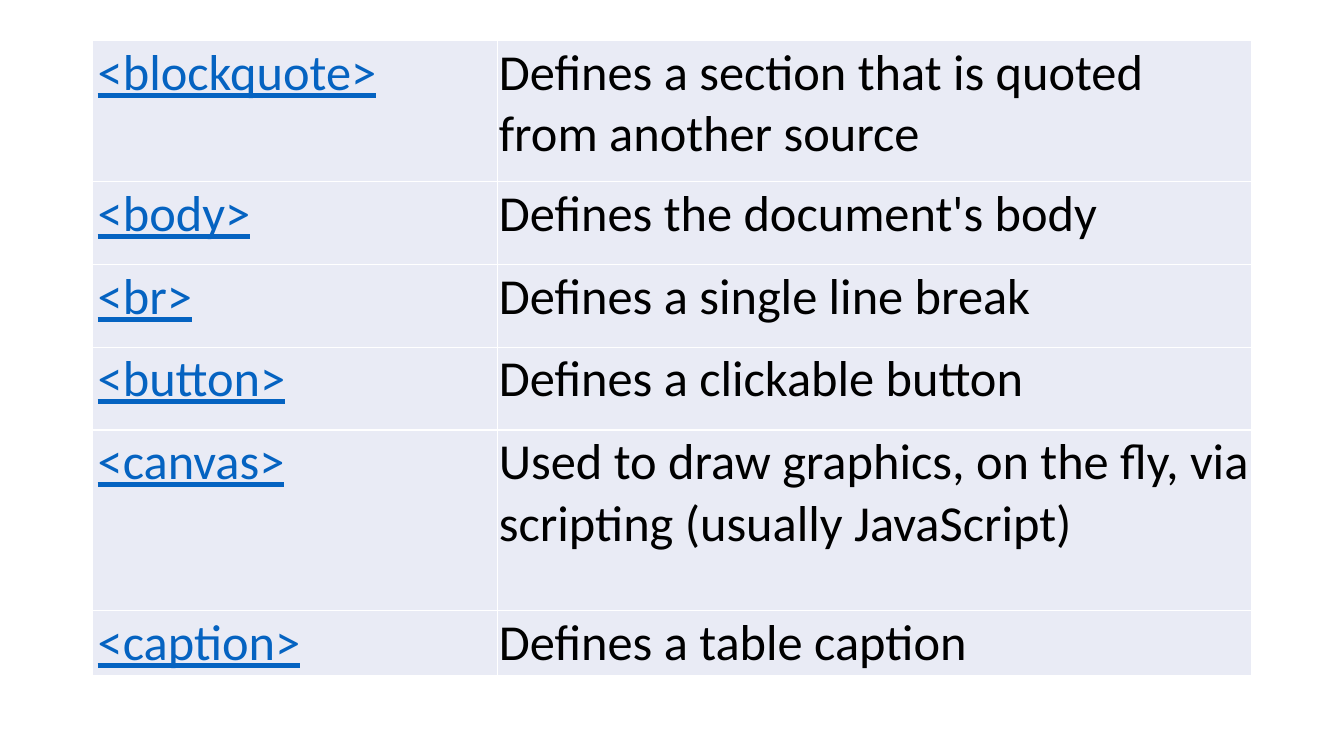
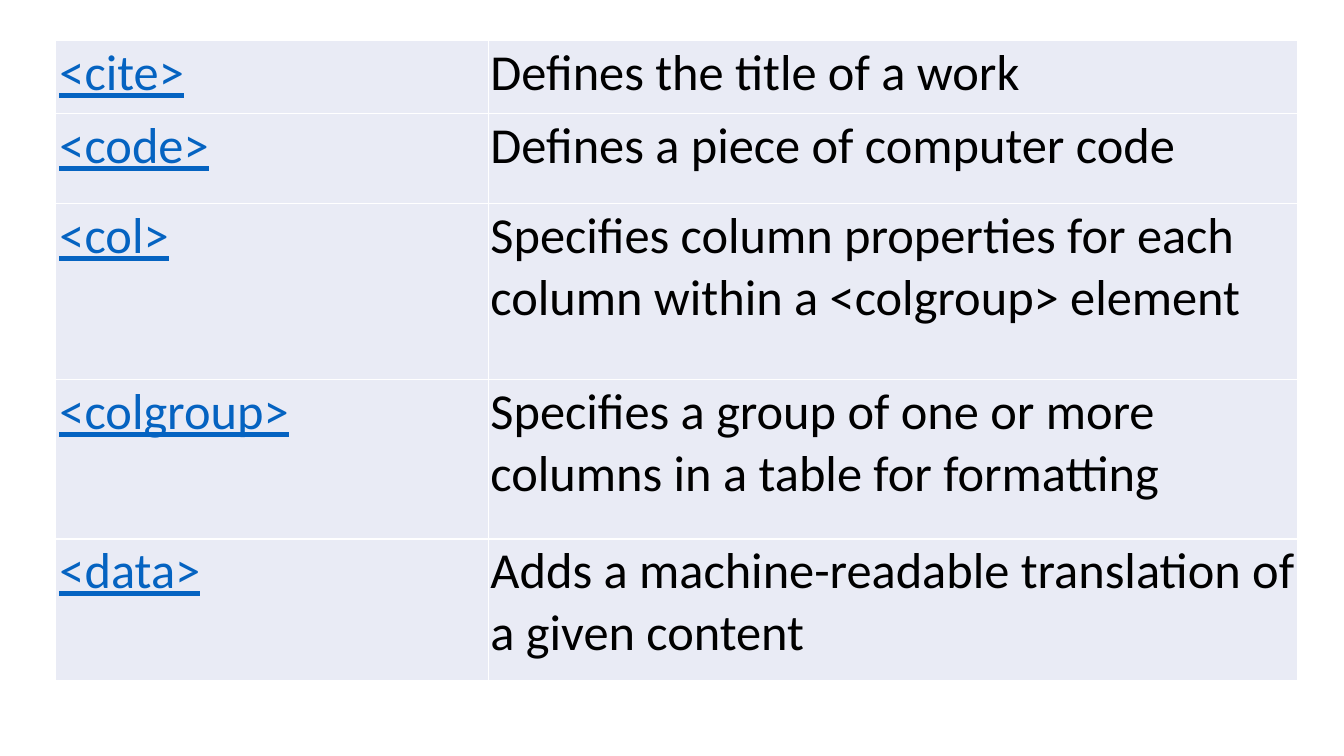
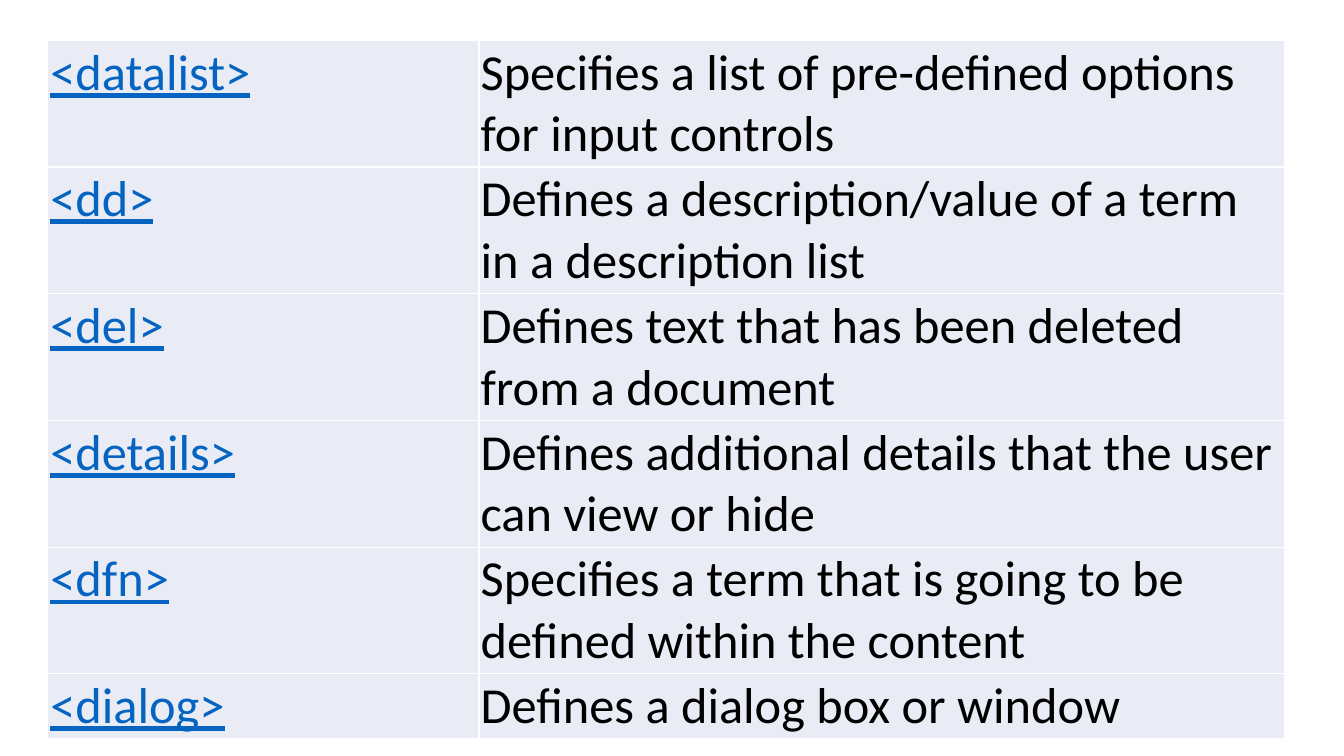
from pptx import Presentation
from pptx.util import Pt
from pptx.dml.color import RGBColor as RGB
from pptx.oxml import parse_xml
from pptx.oxml.ns import nsdecls

# Shared look
FONT = "Calibri"
SIZE = 36
LINK = RGB(0x05, 0x63, 0xC1)
BLACK = RGB(0, 0, 0)
PALE = RGB(0xE9, 0xEB, 0xF5)
RULE = "FFFFFF"
TOP = 28.8
SHARE = 0.349  # part of the width given to the tag column
GAP = 1.2  # inner margin of a cell

# Each slide: left, width, inset of the tags, rows of (height, tag, meaning)
PAGES = [
    (66.2, 828, 3.6, [
        (100.8, "<blockquote>",
         "Defines a section that is quoted from another source"),
        (59.2, "<body>", "Defines the document's body"),
        (59.2, "<br>", "Defines a single line break"),
        (59.2, "<button>", "Defines a clickable button"),
        (128.9, "<canvas>",
         "Used to draw graphics, on the fly, via scripting (usually JavaScript)"),
        (45.4, "<caption>", "Defines a table caption"),
    ]),
    (39.6, 887, 2.9, [
        (52.2, "<cite>", "Defines the title of a work"),
        (64.5, "<code>", "Defines a piece of computer code"),
        (125.7, "<col>",
         "Specifies column properties for each column within a <colgroup> element"),
        (113.8, "<colgroup>",
         "Specifies a group of one or more columns in a table for formatting"),
        (101.2, "<data>",
         "Adds a machine-readable translation of a given content"),
    ]),
    (33.8, 883.5, 2.2, [
        (87.1, "<datalist>",
         "Specifies a list of pre-defined options for input controls"),
        (87.1, "<dd>",
         "Defines a description/value of a term in a description list"),
        (87.1, "<del>", "Defines text that has been deleted from a document"),
        (87.1, "<details>",
         "Defines additional details that the user can view or hide"),
        (89.3, "<dfn>",
         "Specifies a term that is going to be defined within the content"),
        (44.6, "<dialog>", "Defines a dialog box or window"),
    ]),
]


def edge(cell):
    """Draw a thin line on all four sides of a cell."""
    props = cell._tc.get_or_add_tcPr()
    for i, side in enumerate(("lnL", "lnR", "lnT", "lnB")):
        props.insert(i, parse_xml(
            f'<a:{side} {nsdecls("a")} w="{Pt(1)}"><a:solidFill>'
            f'<a:srgbClr val="{RULE}"/></a:solidFill></a:{side}>'))


def write(cell, text, color, inset, line=False):
    """Fill one cell with its text."""
    cell.fill.solid()
    cell.fill.fore_color.rgb = PALE
    edge(cell)
    cell.margin_left = Pt(inset)
    cell.margin_right = cell.margin_top = cell.margin_bottom = Pt(GAP)
    para = cell.text_frame.paragraphs[0]
    para.text = text
    font = para.font
    font.name, font.size = FONT, Pt(SIZE)
    font.color.rgb = color
    font.underline = line


def tags(slide, left, top, width, inset, rows):
    """Place a table of tags and their meanings."""
    high = sum(row[0] for row in rows)
    table = slide.shapes.add_table(
        len(rows), 2, Pt(left), Pt(top), Pt(width), Pt(high)).table
    table.first_row = table.horz_banding = False
    for col, part in zip(table.columns, (SHARE, 1 - SHARE)):
        col.width = Pt(width * part)
    for i, (tall, tag, text) in enumerate(rows):
        table.rows[i].height = Pt(tall)
        write(table.cell(i, 0), tag, LINK, inset, True)
        write(table.cell(i, 1), text, BLACK, GAP)


def main():
    deck = Presentation()
    deck.slide_width, deck.slide_height = Pt(960), Pt(540)
    blank = deck.slide_layouts[6]
    for left, width, inset, rows in PAGES:
        tags(deck.slides.add_slide(blank), left, TOP, width, inset, rows)
    deck.save("out.pptx")


if __name__ == "__main__":
    main()
